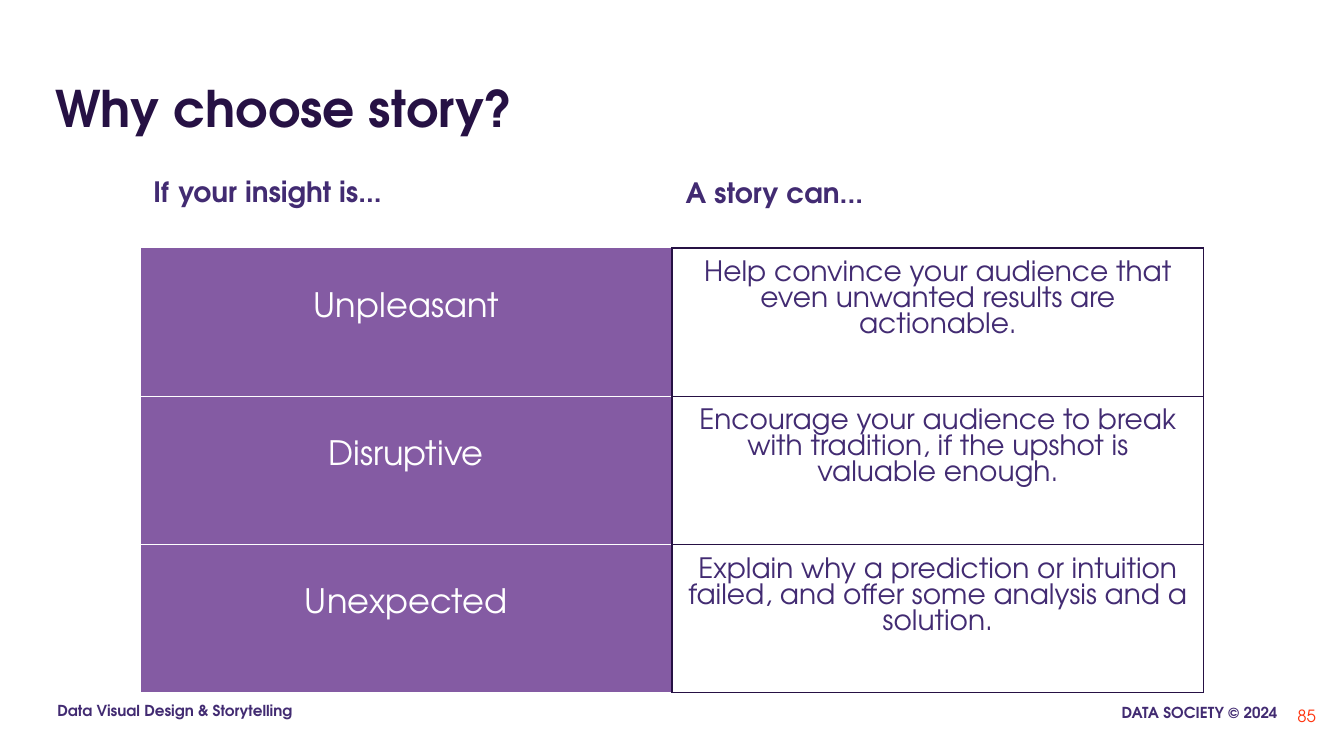
from lxml import etree
from pptx import Presentation
from pptx.dml.color import RGBColor
from pptx.enum.text import MSO_ANCHOR as Anchor, PP_ALIGN as Align
from pptx.oxml.ns import qn
from pptx.util import Inches, Pt

FONT = "TeX Gyre Adventor"
INDIGO = RGBColor(0x42, 0x2B, 0x72)
DARK = RGBColor(0x26, 0x11, 0x44)
PURPLE = RGBColor(0x84, 0x5B, 0xA3)
GRAY = RGBColor(0x33, 0x33, 0x33)
ORANGE = RGBColor(0xFF, 0x35, 0x0F)
WHITE = RGBColor(0xFF, 0xFF, 0xFF)


def fill_text(shape, text, size, color, bold=False, align=Align.LEFT,
              anchor=Anchor.TOP, margins=(0.1, 0.05)):
    frame = shape.text_frame
    frame.word_wrap = True
    frame.vertical_anchor = anchor
    frame.margin_left = frame.margin_right = Inches(margins[0])
    frame.margin_top = frame.margin_bottom = Inches(margins[1])
    frame.text = text
    paragraph = frame.paragraphs[0]
    paragraph.alignment = align
    font = paragraph.runs[0].font
    font.name, font.size, font.bold = FONT, Pt(size), bold
    font.color.rgb = color
    return paragraph


def add_border(cell, side, color, width):
    line = etree.SubElement(cell._tc.get_or_add_tcPr(), qn(f"a:{side}"), w=str(Pt(width)))
    fill = etree.SubElement(line, qn("a:solidFill"))
    etree.SubElement(fill, qn("a:srgbClr"), val=str(color))


presentation = Presentation()
presentation.slide_width = Inches(13.33)
presentation.slide_height = Inches(7.5)
slide = presentation.slides.add_slide(presentation.slide_layouts[5])

title = slide.shapes.title
title.left, title.top = Inches(0.45), Inches(0.58)
title.width, title.height = Inches(12.42), Inches(0.84)
fill_text(title, "Why choose story?", 36, DARK, True, anchor=Anchor.BOTTOM)

labels = [
    ((10.57, 6.89, 2.22, 0.42), "DATA SOCIETY © 2024", 10.8, INDIGO, True,
     Align.RIGHT, Anchor.TOP, (0.12, 0.12)),
    ((0.45, 6.87, 2.74, 0.42), "Data Visual Design & Storytelling", 10.8, INDIGO, True,
     Align.LEFT, Anchor.TOP, (0.12, 0.12)),
    ((12.35, 6.89, 0.8, 0.42), "85", 12, ORANGE, False,
     Align.RIGHT, Anchor.MIDDLE, (0.1, 0.05)),
    ((6.67, 1.67, 2.98, 0.63), "A story can...", 20, INDIGO, True,
     Align.LEFT, Anchor.TOP, (0.13, 0.07)),
]
for box, *style in labels:
    fill_text(slide.shapes.add_textbox(*map(Inches, box)), *style)

insight_box = slide.shapes.add_textbox(Inches(1.39), Inches(1.61), Inches(2.98), Inches(0.63))
insight_heading = fill_text(insight_box, "If", 20, INDIGO, True, margins=(0.13, 0.07))
for text, size, color, bold in [(" ", 24, GRAY, False), ("your insight is...", 20, INDIGO, True)]:
    run = insight_heading.add_run()
    run.text = text
    run.font.name, run.font.size, run.font.bold = FONT, Pt(size), bold
    run.font.color.rgb = color

rows = [
    ("Unpleasant", "Help convince your audience that even unwanted results are actionable."),
    ("Disruptive", "Encourage your audience to break with tradition, if the upshot is valuable enough."),
    ("Unexpected", "Explain why a prediction or intuition failed, and offer some analysis and a solution."),
]
column_styles = [
    (24, WHITE, PURPLE, 0.44, {"lnL": (WHITE, 0.75), "lnR": (DARK, 1),
                               "lnT": (WHITE, 0.75), "lnB": (WHITE, 0.75)}),
    (20, INDIGO, WHITE, 0.13, {side: (DARK, 1) for side in ("lnL", "lnR", "lnT", "lnB")}),
]
table = slide.shapes.add_table(len(rows), 2, Inches(1.39), Inches(2.46),
                               Inches(10.55), Inches(4.41)).table
table.first_row = table.horz_banding = False
for row_index, texts in enumerate(rows):
    for column_index, (text, column_style) in enumerate(zip(texts, column_styles)):
        size, color, background, top_margin, borders = column_style
        cell = table.cell(row_index, column_index)
        cell.margin_left = cell.margin_right = cell.margin_bottom = Inches(0.13)
        cell.margin_top = Inches(top_margin)
        cell.text = text
        paragraph = cell.text_frame.paragraphs[0]
        paragraph.alignment = Align.CENTER
        font = paragraph.runs[0].font
        font.name, font.size, font.bold = FONT, Pt(size), False
        font.color.rgb = color
        for side, (border_color, width) in borders.items():
            add_border(cell, side, border_color, width)
        cell.fill.solid()
        cell.fill.fore_color.rgb = background

presentation.save("out.pptx")
